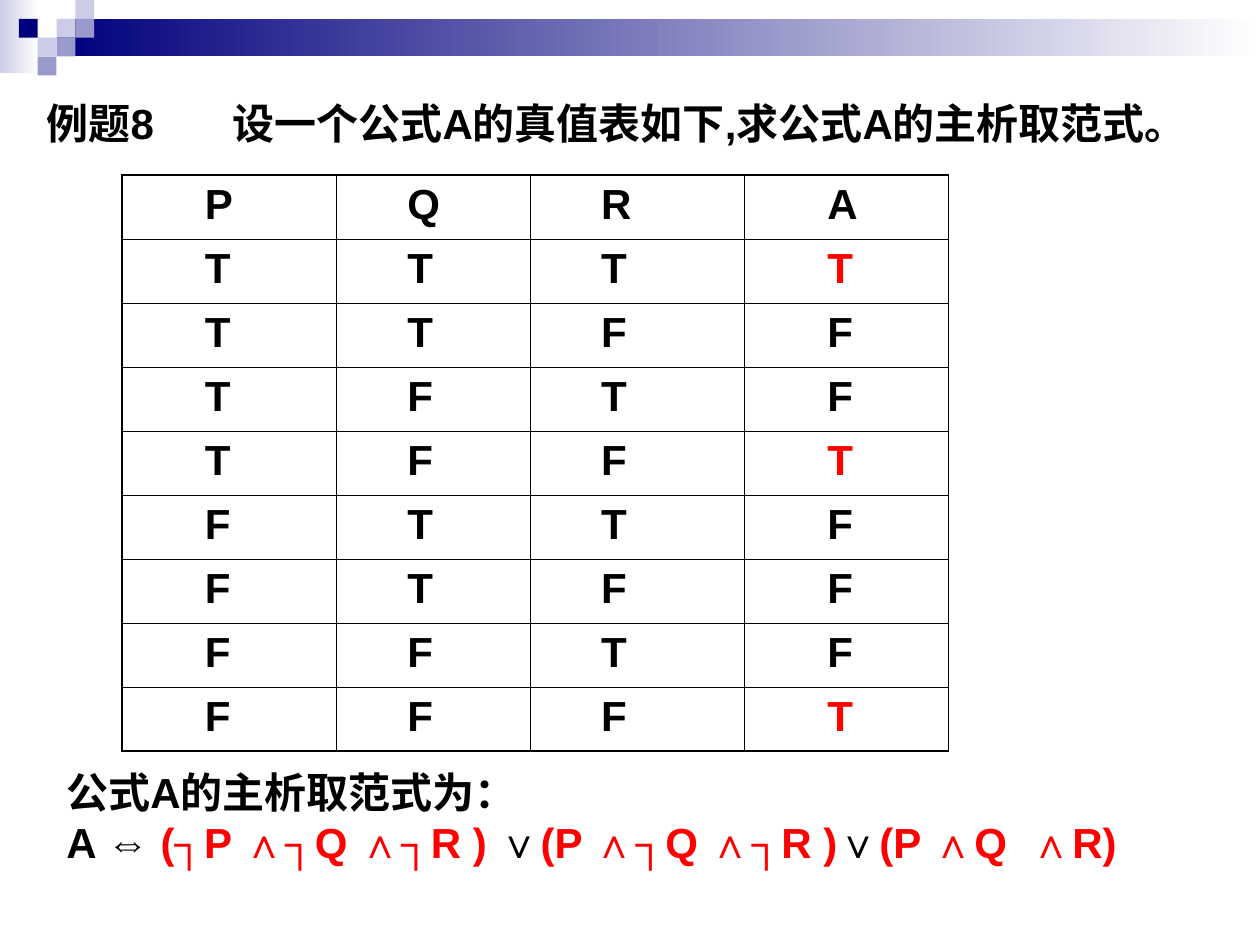
from itertools import product

from lxml import etree
from pptx import Presentation
from pptx import util as u
from pptx.dml.color import RGBColor
from pptx.enum import shapes, text
from pptx.oxml import ns

Cm = u.Cm
BLACK = RGBColor(0x00, 0x00, 0x00)
RED = RGBColor(0xFF, 0x00, 0x00)
WHITE = RGBColor(0xFF, 0xFF, 0xFF)
NAVY = RGBColor(0x00, 0x00, 0x7D)
LILAC = RGBColor(0x99, 0x99, 0xCC)
PALE = RGBColor(0xCC, 0xCC, 0xE6)

TILE = 0.38
TILES = [  # column, row, colour
    (3, 1, PALE), (4, 0, PALE), (4, 1, LILAC), (2, 2, PALE),
    (1, 1, NAVY), (3, 2, LILAC), (2, 3, LILAC),
]
COL_WIDTHS = [4.32, 3.91, 4.32, 4.11]
COL_INDENTS = [1.67, 1.43, 1.43, 1.67]
ROW_HEIGHT = 1.29
THIN, THICK = 0.45, 1.08
FORMULA = [
    ("A ⇔ ", BLACK), ("(┐P ∧┐Q ∧┐R )", RED), (" ∨", BLACK),
    ("(P ∧┐Q ∧┐R )", RED), ("∨", BLACK), ("(P ∧Q  ∧R)", RED),
]


def add_text(p, content, *, color=BLACK, size=24, bold=True, font="Arial"):
    r = p.add_run()
    r.text = content
    r.font.name, r.font.size, r.font.bold = font, u.Pt(size), bold
    r.font.color.rgb = color


def set_borders(cell, widths):
    """Draw black cell borders; widths maps L, R, T, B (in that order) to points."""
    tcPr = cell._tc.get_or_add_tcPr()
    for side, width in widths.items():
        ln = etree.SubElement(tcPr, ns.qn(f"a:ln{side}"), w=str(int(u.Pt(width))))
        fill = etree.SubElement(ln, ns.qn("a:solidFill"))
        etree.SubElement(fill, ns.qn("a:srgbClr"), val=str(BLACK))


def add_tab_stop(p, position):
    tabs = etree.SubElement(p._p.get_or_add_pPr(), ns.qn("a:tabLst"))
    etree.SubElement(tabs, ns.qn("a:tab"), pos=str(int(position)), algn="l")


class Deck:
    def __init__(self, prs):
        self.s = prs.slides.add_slide(prs.slide_layouts[6])

    def rect(self, x, y, w, h, color, fade_to=None):
        sp = self.s.shapes.add_shape(
            shapes.MSO_SHAPE.RECTANGLE, Cm(x), Cm(y), Cm(w), Cm(h))
        sp.shadow.inherit = False
        sp.line.fill.background()
        if fade_to is None:
            sp.fill.solid()
            sp.fill.fore_color.rgb = color
            return
        sp.fill.gradient()
        sp.fill.gradient_angle = 0
        for stop, stop_color in zip(sp.fill.gradient_stops, (color, fade_to)):
            stop.color.rgb = stop_color

    def textbox(self, x, y, w, h, paragraphs):
        """Add paragraphs, each a list of (text, colour); return the text frame."""
        tf = self.s.shapes.add_textbox(Cm(x), Cm(y), Cm(w), Cm(h)).text_frame
        tf.word_wrap = True
        tf.auto_size = text.MSO_AUTO_SIZE.SHAPE_TO_FIT_TEXT
        for i, runs in enumerate(paragraphs):
            p = tf.add_paragraph() if i else tf.paragraphs[0]
            for content, color in runs:
                add_text(p, content, color=color)
        return tf

    def truth_table(self, x, y, rows):
        last_row, last_col = len(rows) - 1, len(COL_WIDTHS) - 1
        table = self.s.shapes.add_table(
            len(rows), len(COL_WIDTHS), Cm(x), Cm(y),
            Cm(sum(COL_WIDTHS)), Cm(ROW_HEIGHT * len(rows))).table
        table.first_row = table.horz_banding = False
        for col, width in zip(table.columns, COL_WIDTHS):
            col.width = Cm(width)
        for i, values in enumerate(rows):
            table.rows[i].height = Cm(ROW_HEIGHT)
            for j, value in enumerate(values):
                cell = table.cell(i, j)
                edges = {"L": j == 0, "R": j == last_col,
                         "T": i == 0, "B": i == last_row}
                set_borders(cell, {side: THICK if outer else THIN
                                   for side, outer in edges.items()})
                cell.fill.background()
                cell.margin_left = Cm(COL_INDENTS[j])
                is_true_result = j == last_col and value == "T"
                add_text(cell.text_frame.paragraphs[0], value,
                         color=RED if is_true_result else BLACK)


def main():
    prs = Presentation()
    prs.slide_width, prs.slide_height = Cm(25.4), Cm(19.05)
    deck = Deck(prs)

    deck.rect(0, 0, 0.79, 1.47, PALE, fade_to=WHITE)
    deck.rect(3 * TILE, TILE, 24.26, 2 * TILE, NAVY, fade_to=WHITE)
    for col, row, color in TILES:
        deck.rect(col * TILE, row * TILE, TILE, TILE, color)

    title = "例题8\t设一个公式A的真值表如下,求公式A的主析取范式。"
    tf = deck.textbox(0.69, 1.85, 23.39, 2.29, [[(title, BLACK)]])
    add_tab_stop(tf.paragraphs[0], Cm(3.75))

    inputs = product("TF", repeat=3)
    rows = ["PQRA"] + ["".join(pqr) + a for pqr, a in zip(inputs, "TFFTFFFT")]
    deck.truth_table(2.46, 3.53, rows)

    deck.textbox(1.09, 15.32, 23.6, 2.29,
                 [[("公式A的主析取范式为：", BLACK)], FORMULA])
    prs.save("out.pptx")


if __name__ == "__main__":
    main()
